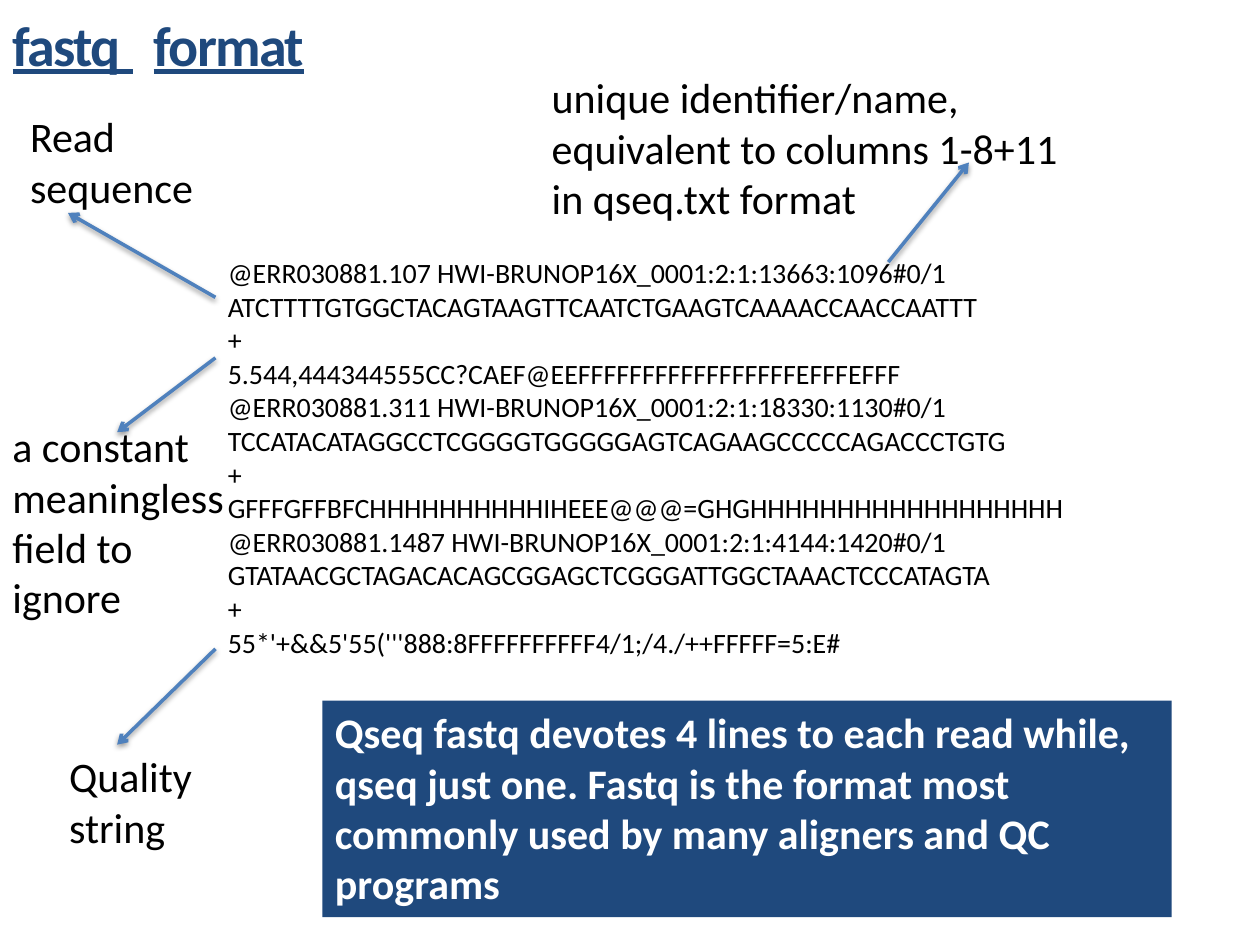
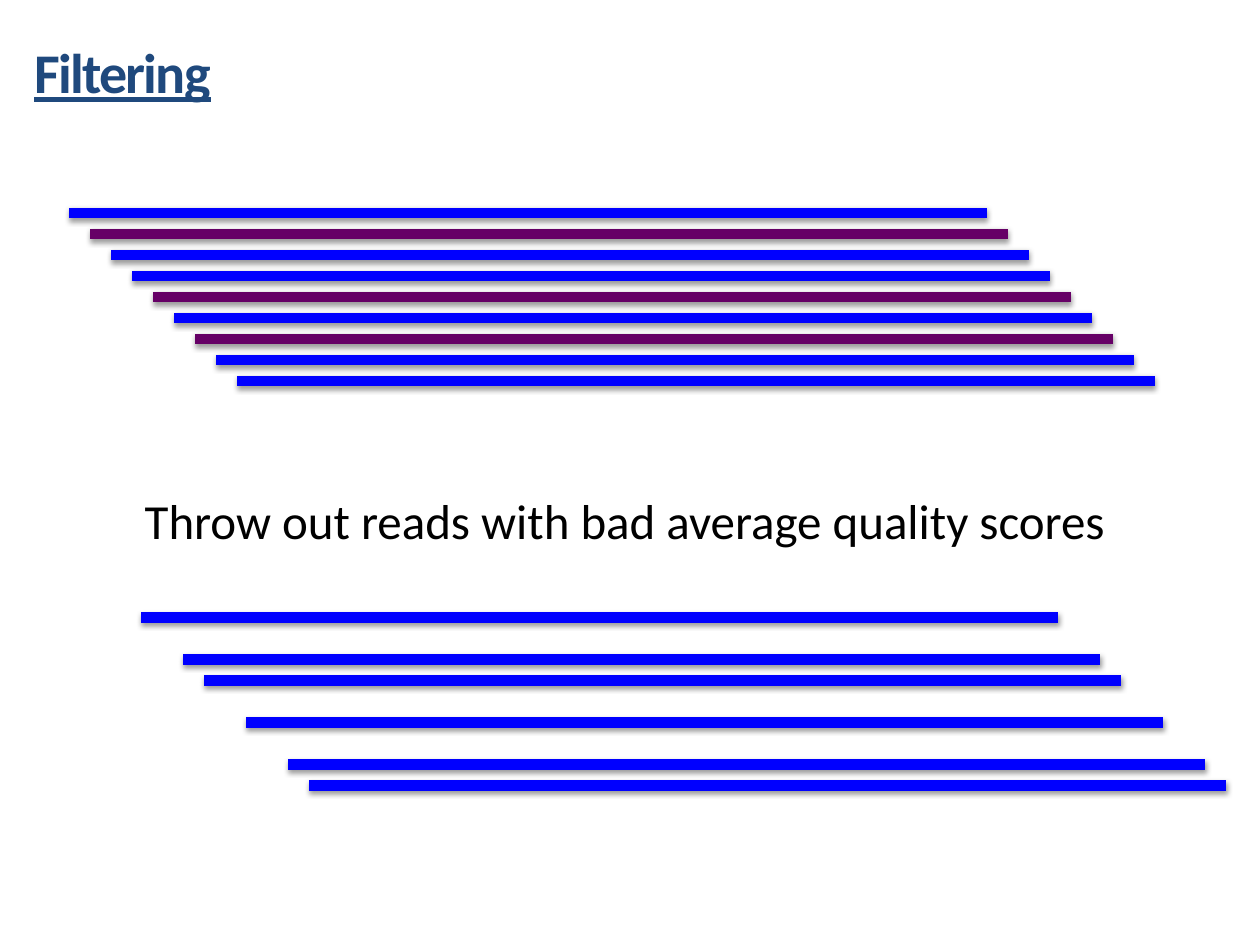
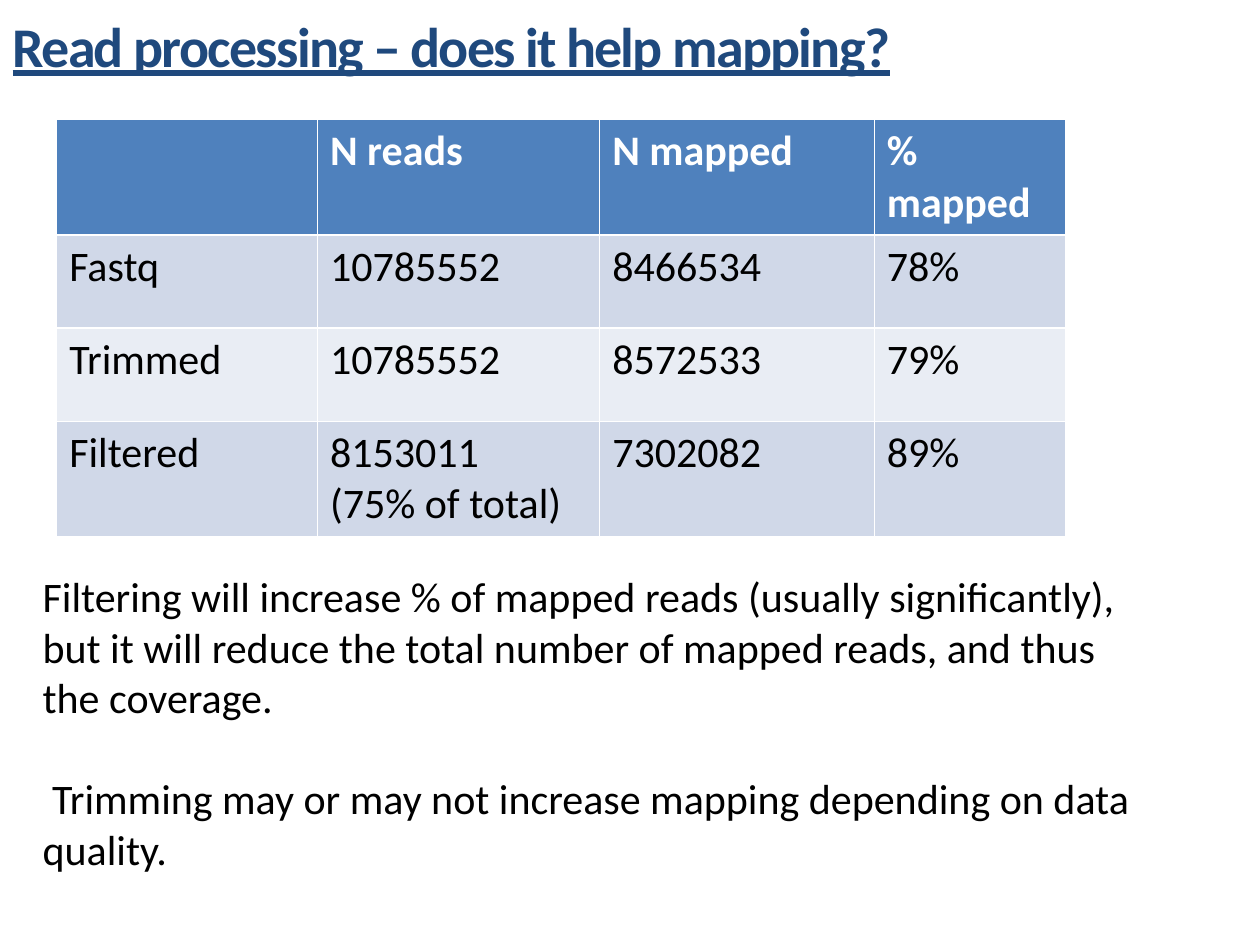
from pptx import Presentation
from pptx.dml.color import RGBColor
from pptx.enum.shapes import MSO_CONNECTOR
from pptx.enum.text import MSO_ANCHOR, MSO_AUTO_SIZE, PP_ALIGN
from pptx.oxml.ns import qn
from pptx.util import Inches, Pt
from lxml import etree

STRAIGHT = MSO_CONNECTOR.STRAIGHT
TOP = MSO_ANCHOR.TOP
NO_FIT, GROW = MSO_AUTO_SIZE.NONE, MSO_AUTO_SIZE.SHAPE_TO_FIT_TEXT
LEFT = PP_ALIGN.LEFT

FONT = "Calibri"
COLORS = {
    "text": "000000", "white": "FFFFFF", "navy": "1F497D", "accent": "4F81BD",
    "good_read": "0000FF", "bad_read": "660066",
    "band_dark": "D0D8E8", "band_light": "E9EDF4",
}
WIDTH, HEIGHT = Inches(10), Inches(7.5)
CELL = WIDTH / 10
READ_STEP = 1 / 6
READ_LENGTH = 7.28
READ_COUNT = 9
BAD_READS = {1, 4, 6}

FASTQ_LINES = [
    "@ERR030881.107 HWI-BRUNOP16X_0001:2:1:13663:1096#0/1",
    "ATCTTTTGTGGCTACAGTAAGTTCAATCTGAAGTCAAAACCAACCAATTT",
    "+",
    "5.544,444344555CC?CAEF@EEFFFFFFFFFFFFFFFFFEFFFEFFF",
    "@ERR030881.311 HWI-BRUNOP16X_0001:2:1:18330:1130#0/1",
    "TCCATACATAGGCCTCGGGGTGGGGGAGTCAGAAGCCCCCAGACCCTGTG",
    "+",
    "GFFFGFFBFCHHHHHHHHHHIHEEE@@@=GHGHHHHHHHHHHHHHHHHHH",
    "@ERR030881.1487 HWI-BRUNOP16X_0001:2:1:4144:1420#0/1",
    "GTATAACGCTAGACACAGCGGAGCTCGGGATTGGCTAAACTCCCATAGTA",
    "+",
    "55*'+&&5'55('''888:8FFFFFFFFFF4/1;/4./++FFFFF=5:E#",
]
FIELD_NOTES = [
    ("unique identifier/name, equivalent to columns 1-8+11 in qseq.txt format",
     (4.28, 0.52, 4.39, 1.31), (7.05, 2.08), (7.69, 1.29)),
    ("Read sequence", (0.14, 0.83, 2.1, 0.91), (1.71, 2.36), (0.54, 1.69)),
    ("Quality string", (0.45, 5.91, 1.41, 0.91), (1.71, 5.15), (0.93, 5.91)),
    ("a constant meaningless field to ignore",
     (0, 3.29, 1.95, 1.72), (1.71, 2.84), (0.93, 3.43)),
]
MAPPING_ROWS = [
    ("", "N reads", "N mapped", "% mapped"),
    ("Fastq", "10785552", "8466534", "78%"),
    ("Trimmed", "10785552", "8572533", "79%"),
    ("Filtered", "8153011\n(75% of total)", "7302082", "89%"),
]
MAPPING_COLS = (2.07, 2.24, 2.18, 1.52)
MAPPING_ROW_HEIGHT = 0.74


def grid(*cells):
    """Turn columns or rows of the 10 by 7.5 grid into lengths."""
    return [round(c * CELL) for c in cells]


def rgb(name):
    """Look up a colour of the deck."""
    return RGBColor.from_string(COLORS[name])


def add_run(p, text, size, color="text", bold=False):
    """Append a formatted run to a paragraph."""
    r = p.add_run()
    r.text = text
    r.font.name, r.font.size, r.font.bold = FONT, Pt(size), bold
    r.font.color.rgb = rgb(color)
    return r


def fill_text(tf, lines, size, color="text", bold=False):
    """Write each line as a paragraph of the frame."""
    for i, line in enumerate(lines):
        p = tf.add_paragraph() if i else tf.paragraphs[0]
        add_run(p, line, size, color, bold)


def add_titled_slide(prs, runs, box):
    """Add a slide whose title is a list of (text, letter spacing) runs."""
    s = prs.slides.add_slide(prs.slide_layouts[5])
    title = s.shapes.title
    title.left, title.top, title.width, title.height = grid(*box)
    tf = title.text_frame
    tf.word_wrap, tf.auto_size, tf.vertical_anchor = True, NO_FIT, TOP
    tf.margin_top = Inches(0.07)
    p = tf.paragraphs[0]
    p.alignment = LEFT
    for text, spacing in runs:
        r = add_run(p, text, 32, "navy", True)
        r.font.underline = True
        r._r.get_or_add_rPr().set("spc", str(round(spacing * 100)))
    return s


def add_text(s, lines, box, size, color="text", bold=False, fill=None, wrap=True):
    """Add a text box, filled when a colour is given."""
    sp = s.shapes.add_textbox(*grid(*box))
    if fill:
        sp.fill.solid()
        sp.fill.fore_color.rgb = rgb(fill)
    tf = sp.text_frame
    tf.word_wrap, tf.auto_size = wrap, GROW
    fill_text(tf, lines, size, color, bold)
    return tf


def add_line(s, start, end, color, width, arrow=False):
    """Add a straight line with the theme's soft shadow."""
    line = s.shapes.add_connector(STRAIGHT, *grid(*start, *end)).line
    line.color.rgb = rgb(color)
    line.width = Pt(width)
    if arrow:
        etree.SubElement(line._get_or_add_ln(), qn("a:tailEnd"), type="arrow")


def add_reads(s, left, top, skipped=()):
    """Draw the staggered reads, leaving gaps for the skipped ones."""
    for i in range(READ_COUNT):
        if i not in skipped:
            x, y = left + i * READ_STEP, top + i * READ_STEP
            color = "bad_read" if i in BAD_READS else "good_read"
            add_line(s, (x, y), (x + READ_LENGTH, y), color, 6)


def add_mapping_table(s, left, top):
    """Add the banded table of mapping results."""
    size = sum(MAPPING_COLS), MAPPING_ROW_HEIGHT * len(MAPPING_ROWS)
    table = s.shapes.add_table(len(MAPPING_ROWS), len(MAPPING_COLS),
                               *grid(left, top, *size)).table
    for column, width in zip(table.columns, grid(*MAPPING_COLS)):
        column.width = width
    for i, row in enumerate(MAPPING_ROWS):
        header = i == 0
        band = "accent" if header else "band_dark" if i % 2 else "band_light"
        for j, text in enumerate(row):
            cell = table.cell(i, j)
            cell.fill.solid()
            cell.fill.fore_color.rgb = rgb(band)
            if text:
                fill_text(cell.text_frame, text.split("\n"), 24,
                          "white" if header else "text", header)


def build_format_slide(prs):
    """Explain the lines of a fastq record."""
    s = add_titled_slide(prs, [("fastq", -1), (" ", 11.5), ("format", -1)],
                         (0, 0.01, 8.33, 0.77))
    add_text(s, FASTQ_LINES, (1.71, 1.98, 7.23, 3.33), 16)
    for note, box, start, end in FIELD_NOTES:
        add_text(s, [note], box, 24)
        add_line(s, start, end, "accent", 2, arrow=True)
    add_text(s, ["Qseq fastq devotes 4 lines to each read while, qseq just one. "
                 "Fastq is the format most commonly used by many aligners and "
                 "QC programs"],
             (2.56, 5.56, 6.74, 1.72), 24, "white", True, "navy")


def build_filtering_slide(prs):
    """Show the reads before and after filtering."""
    s = add_titled_slide(prs, [("Filtering", -1)], (0.17, 0.23, 7.24, 0.59))
    add_reads(s, 0.55, 1.69)
    add_text(s, ["Throw out reads with bad average quality scores"],
             (1.05, 3.84, 7.91, 0.57), 28, wrap=False)
    add_reads(s, 1.12, 4.9, BAD_READS)


def build_mapping_slide(prs):
    """Compare mapping rates after each processing step."""
    s = add_titled_slide(prs, [("Read processing – does it help mapping?", -1)],
                         (0, 0.02, 9.25, 0.67))
    add_mapping_table(s, 0.45, 0.95)
    tf = add_text(s, ["Filtering will increase % of mapped reads (usually "
                      "significantly), but it will reduce the total number of "
                      "mapped reads, and thus the coverage.",
                      "Trimming may or may not increase mapping depending on "
                      "data quality."],
                  (0.24, 4.48, 8.83, 2.52), 24)
    p = tf.paragraphs[1]
    p.space_before = Pt(29)
    p._p.get_or_add_pPr().set("indent", str(Pt(5.4)))


def main():
    """Build the deck."""
    prs = Presentation()
    prs.slide_width, prs.slide_height = WIDTH, HEIGHT
    build_format_slide(prs)
    build_filtering_slide(prs)
    build_mapping_slide(prs)
    prs.save("out.pptx")


if __name__ == "__main__":
    main()
